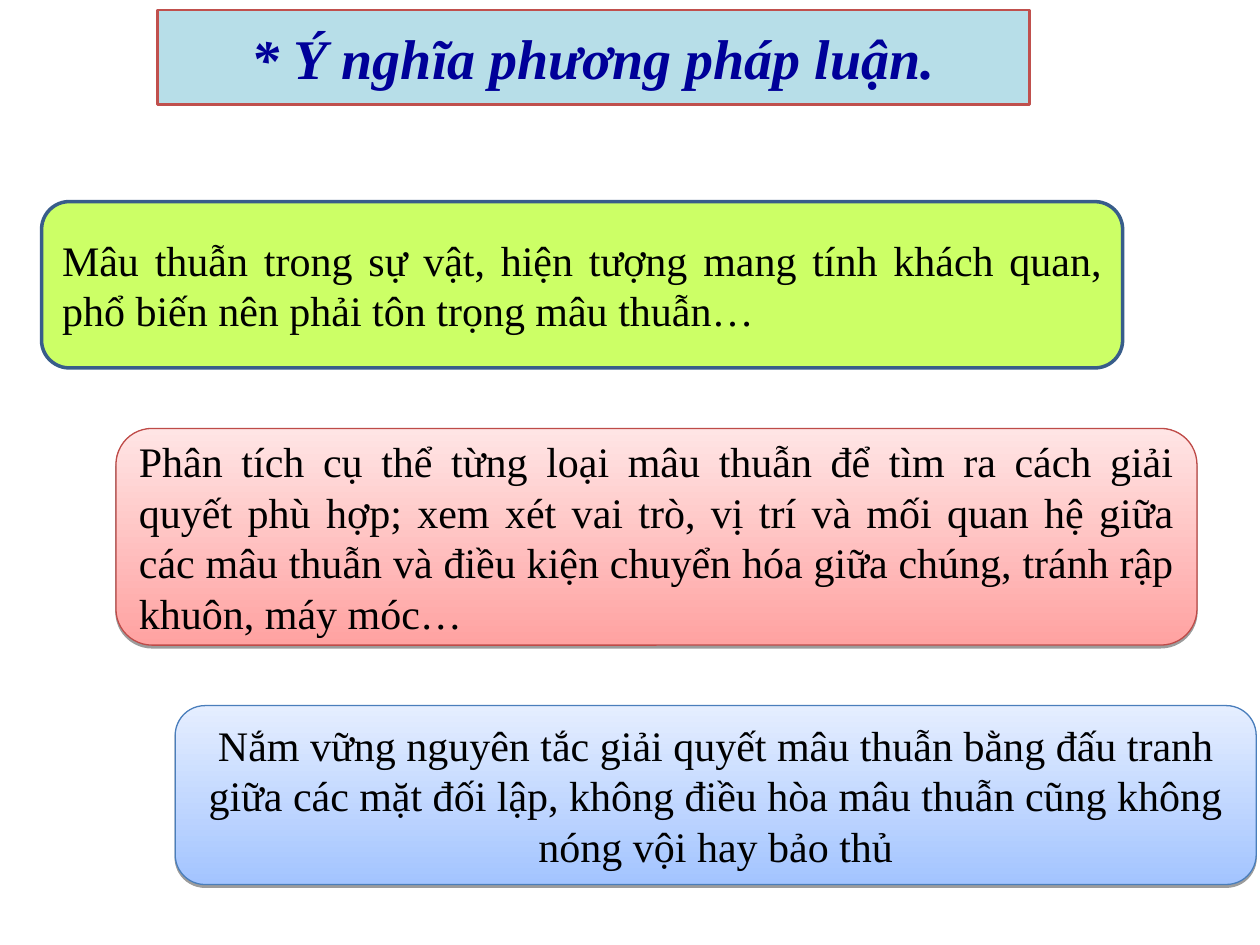
from lxml import etree
from pptx import Presentation
from pptx.dml.color import RGBColor
from pptx.enum import shapes, text
from pptx.oxml import ns
from pptx.util import Inches, Pt

COLORS = {
    "navy": "000099", "black": "000000",
    "aqua": "B7DEE8", "brick": "C0504D",
    "lime": "CCFF66", "steel": "385D8A",
    "rose": "FFA2A1", "blush": "FFE5E5", "red": "BE4B48",
    "sky": "A3C4FF", "ice": "E5EEFF", "blue": "4A7EBB",
}
RECT = shapes.MSO_SHAPE.RECTANGLE
ROUND = shapes.MSO_SHAPE.ROUNDED_RECTANGLE
CENTER = text.PP_ALIGN.CENTER
JUSTIFY = text.PP_ALIGN.JUSTIFY
WIDTH = 8.58


def rgb(name):
    return RGBColor.from_string(COLORS[name])


def write(shape, words, size=24, color="black", align=JUSTIFY, bold=False, italic=False):
    frame = shape.text_frame
    frame.word_wrap = True
    frame.vertical_anchor = text.MSO_ANCHOR.MIDDLE
    para = frame.paragraphs[0]
    para.alignment = align
    run = para.add_run()
    run.text = words
    font = run.font
    font.name = "Times New Roman"
    font.size = Pt(size)
    font.bold = bold
    font.italic = italic
    font.color.rgb = rgb(color)


def add_shadow(shape):
    """Add a hard, translucent shadow just below the shape."""
    effects = shape.element.spPr.find(ns.qn("a:effectLst"))
    outer = etree.SubElement(effects, ns.qn("a:outerShdw"), blurRad="0",
                             dist=str(Pt(1.6)), dir="5400000", rotWithShape="0")
    tint = etree.SubElement(outer, ns.qn("a:srgbClr"), val=COLORS["black"])
    etree.SubElement(tint, ns.qn("a:alpha"), val="38000")


def add_box(slide, kind, place, fills, line, weight):
    """Draw a box; two fills make a gradient from bottom to top, with a shadow."""
    box = slide.shapes.add_shape(kind, *map(Inches, place))
    box.shadow.inherit = False
    box.line.color.rgb = rgb(line)
    box.line.width = Pt(weight)
    if len(fills) == 1:
        box.fill.solid()
        box.fill.fore_color.rgb = rgb(fills[0])
    else:
        box.fill.gradient()
        box.fill.gradient_angle = 90
        for stop, name in zip(box.fill.gradient_stops, fills):
            stop.color.rgb = rgb(name)
        add_shadow(box)
    return box


def main():
    deck = Presentation()
    deck.slide_width, deck.slide_height = Inches(10), Inches(7.5)
    slide = deck.slides.add_slide(deck.slide_layouts[6])

    title = add_box(slide, RECT, (1.25, 0.08, 6.92, 0.75), ["aqua"], "brick", 1.5)
    write(title, "* Ý nghĩa phương pháp luận.", size=32, color="navy",
          align=CENTER, bold=True, italic=True)

    points = [
        (0.33, 1.6, 1.32, ["lime"], "steel", 2, JUSTIFY,
         "Mâu thuẫn trong sự vật, hiện tượng mang tính khách quan, "
         "phổ biến nên phải tôn trọng mâu thuẫn…"),
        (0.92, 3.4, 1.72, ["rose", "blush"], "red", 0.75, JUSTIFY,
         "Phân tích cụ thể từng loại mâu thuẫn để tìm ra cách giải quyết phù hợp; "
         "xem xét vai trò, vị trí và mối quan hệ giữa các mâu thuẫn và điều kiện "
         "chuyển hóa giữa chúng, tránh rập khuôn, máy móc…"),
        (1.39, 5.6, 1.42, ["sky", "ice"], "blue", 0.75, CENTER,
         "Nắm vững nguyên tắc giải quyết mâu thuẫn bằng đấu tranh giữa các mặt "
         "đối lập, không điều hòa mâu thuẫn cũng không nóng vội hay bảo thủ"),
    ]
    for left, top, height, fills, line, weight, align, words in points:
        box = add_box(slide, ROUND, (left, top, WIDTH, height), fills, line, weight)
        write(box, words, align=align)

    deck.save("out.pptx")


if __name__ == "__main__":
    main()
